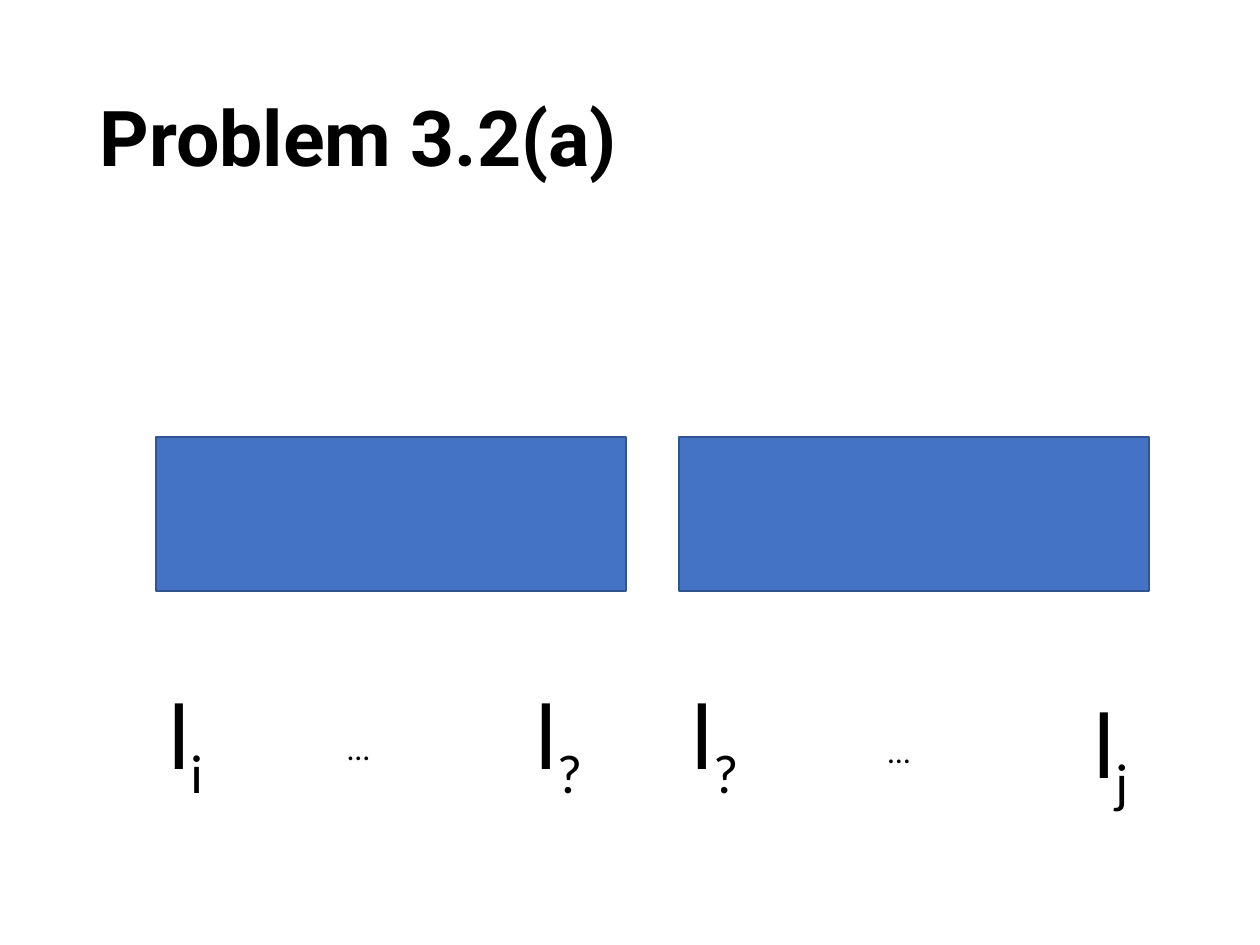
from pptx import Presentation
from pptx.dml.color import RGBColor
from pptx.enum.shapes import MSO_SHAPE
from pptx.enum.text import MSO_ANCHOR, MSO_AUTO_SIZE, PP_ALIGN
from pptx.util import Inches, Pt

RECTANGLE = MSO_SHAPE.RECTANGLE
MIDDLE = MSO_ANCHOR.MIDDLE
FIT_SHAPE = MSO_AUTO_SIZE.SHAPE_TO_FIT_TEXT
NO_AUTO_SIZE = MSO_AUTO_SIZE.NONE
LEFT = PP_ALIGN.LEFT

COLORS = {"text": "000000", "block": "4472C4", "outline": "325491"}
FIRST_LEFT, SECOND_LEFT = 1.24, 5.39


def style_font(font, name, size, bold=False):
    font.name = name
    font.size = Pt(size)
    font.bold = bold
    font.color.rgb = RGBColor.from_string(COLORS["text"])


def add_label(slide, left, top, width, height, text, size, subscript=""):
    shape = slide.shapes.add_textbox(Inches(left), Inches(top), Inches(width), Inches(height))
    frame = shape.text_frame
    frame.word_wrap = False
    frame.auto_size = FIT_SHAPE
    paragraph = frame.paragraphs[0]
    style_font(paragraph.font, "Calibri", size)
    paragraph.add_run().text = text
    if subscript:
        run = paragraph.add_run()
        run.text = subscript
        run.font._element.set("baseline", "-25000")


presentation = Presentation()
presentation.slide_width = Inches(10)
presentation.slide_height = Inches(7.5)
slide = presentation.slides.add_slide(presentation.slide_layouts[5])

# Title
title = slide.shapes.title
title.left, title.top = Inches(0.69), Inches(0.4)
title.width, title.height = Inches(8.62), Inches(1.45)
title.text_frame.text = "Problem 3.2(a)"
title.text_frame.vertical_anchor = MIDDLE
title.text_frame.auto_size = NO_AUTO_SIZE
paragraph = title.text_frame.paragraphs[0]
paragraph.alignment = LEFT
paragraph.line_spacing = 0.9
style_font(paragraph.font, "Roboto", 44, bold=True)

# The two blocks of the split sequence
for left in (FIRST_LEFT, SECOND_LEFT):
    block = slide.shapes.add_shape(
        RECTANGLE, Inches(left), Inches(3.47), Inches(3.73), Inches(1.22))
    block.shadow.inherit = False
    block.fill.solid()
    block.fill.fore_color.rgb = RGBColor.from_string(COLORS["block"])
    block.line.color.rgb = RGBColor.from_string(COLORS["outline"])
    block.line.width = Pt(1)

# Items at the ends of each block
for left, top, width, subscript in (
    (FIRST_LEFT, 5.31, 0.49, "i"),
    (4.15, 5.31, 0.61, "?"),
    (SECOND_LEFT, 5.31, 0.61, "?"),
    (8.58, 5.38, 0.5, "j"),
):
    add_label(slide, left, top, width, 1.01, "l", 54, subscript)

# Ellipses between the end items
for left, top in ((2.66, 5.74), (6.95, 5.76)):
    add_label(slide, left, top, 0.38, 0.4, "…", 18)

presentation.save("out.pptx")
